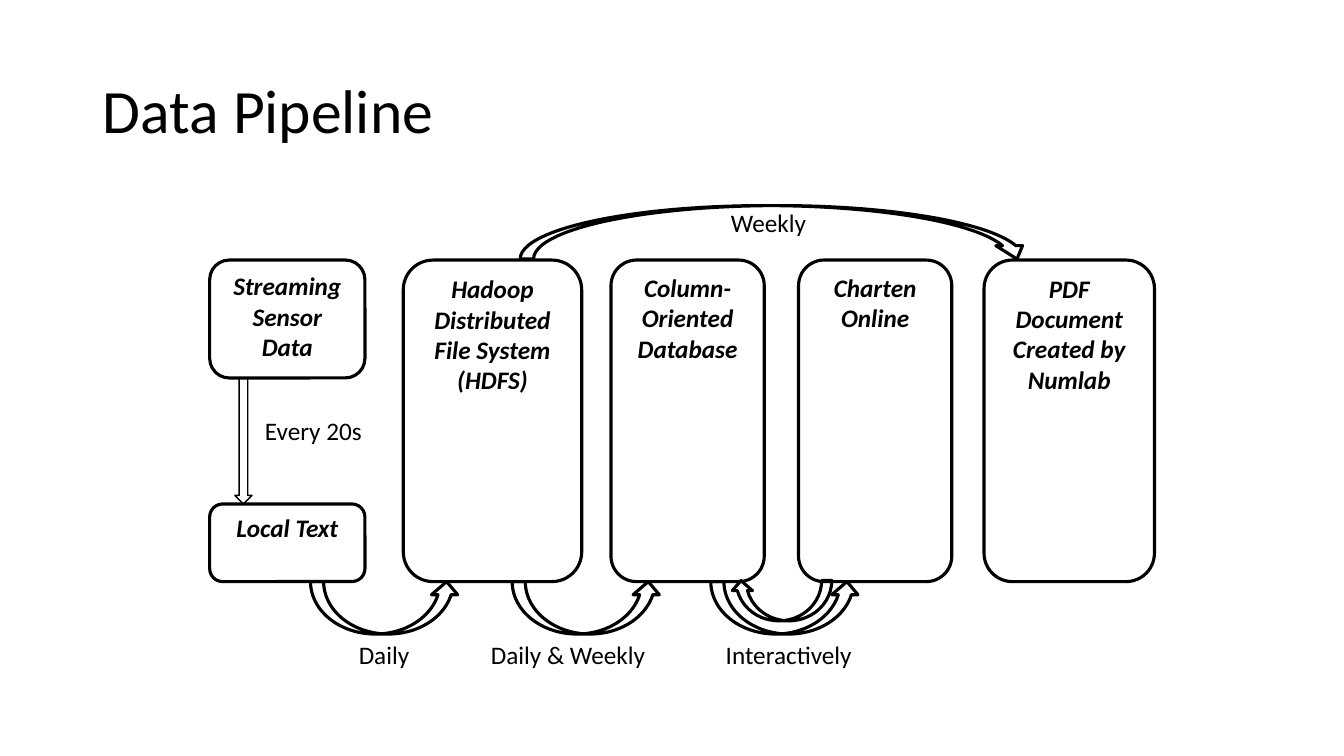
from pptx import Presentation
from pptx.dml.color import RGBColor
from pptx.enum.shapes import MSO_SHAPE as Shape
from pptx.enum.text import MSO_ANCHOR as Anchor, MSO_AUTO_SIZE as Fit, PP_ALIGN as Align
from pptx.util import Inches, Pt

BLACK = RGBColor(0, 0, 0)
FONT = "Calibri"


def write(frame, text, size=18, bold=False, italic=False, align=Align.LEFT,
          anchor=Anchor.TOP, wrap=True, fit=Fit.NONE, space=None):
    frame.auto_size = fit
    frame.word_wrap = wrap
    frame.vertical_anchor = anchor
    para = frame.paragraphs[0]
    para.alignment = align
    para.line_spacing = space
    run = para.add_run()
    run.text = text
    font = run.font
    font.name, font.size = FONT, Pt(size)
    font.bold, font.italic = bold, italic
    font.color.rgb = BLACK


class Board:
    def __init__(self, slide, line=2.25):
        self.slide = slide
        self.line = line

    def title(self, text, *box):
        head = self.slide.shapes.title
        head.left, head.top, head.width, head.height = map(Inches, box)
        write(head.text_frame, text, size=44, anchor=Anchor.MIDDLE, space=0.9)

    def shape(self, kind, *box, line=None, flip=None):
        item = self.slide.shapes.add_shape(kind, *map(Inches, box))
        item.shadow.inherit = False
        item.fill.background()
        item.line.color.rgb = BLACK
        item.line.width = Pt(line or self.line)
        if flip:
            item.element.spPr.get_or_add_xfrm().set(flip, "1")
        return item

    def stage(self, text, *box):
        item = self.shape(Shape.ROUNDED_RECTANGLE, *box)
        write(item.text_frame, text, bold=True, italic=True, align=Align.CENTER)

    def curve(self, *box, flip=None):
        self.shape(Shape.CURVED_UP_ARROW, *box, flip=flip)

    def label(self, text, left, top, width):
        item = self.slide.shapes.add_textbox(*map(Inches, (left, top, width, 0.4)))
        write(item.text_frame, text, wrap=False, fit=Fit.SHAPE_TO_FIT_TEXT)


def main():
    deck = Presentation()
    deck.slide_width, deck.slide_height = Inches(13.33), Inches(7.5)
    board = Board(deck.slides.add_slide(deck.slide_layouts[5]))
    board.title("Data Pipeline", 0.92, 0.4, 11.5, 1.45)

    # Stages of the pipeline
    top, tall = 2.58, 3.19
    board.stage("Streaming Sensor Data", 2.08, top, 1.54, 1.17)
    for text, left, width in (
        ("Hadoop Distributed File System (HDFS)", 4, 1.77),
        ("Column-Oriented Database", 6.06, 1.52),
        ("Charten Online", 7.92, 1.52),
        ("PDF Document Created by Numlab", 9.76, 1.69),
    ):
        board.stage(text, left, top, width, tall)

    # Arrows between the stages
    for left in (3.08, 5.08, 7.05):
        board.curve(left, top + tall, 1.48, 0.52)
    board.curve(5.16, 2.04, 5.06, 0.53, flip="flipV")
    board.curve(7.25, 5.76, 1, 0.4, flip="flipH")

    # Local file fed by the sensors
    board.stage("Local Text", 2.08, 5, 1.54, 0.77)
    board.shape(Shape.DOWN_ARROW, 2.33, 3.75, 0.17, 1.25, line=1)

    # How often each step runs
    for text, left, y, width in (
        ("Every 20s", 2.53, 4.07, 1.17),
        ("Daily", 3.46, 6.29, 0.71),
        ("Daily & Weekly", 4.77, 6.29, 1.75),
        ("Interactively", 7.1, 6.29, 1.47),
        ("Weekly", 7.15, 2.01, 0.96),
    ):
        board.label(text, left, y, width)

    deck.save("out.pptx")


if __name__ == "__main__":
    main()
